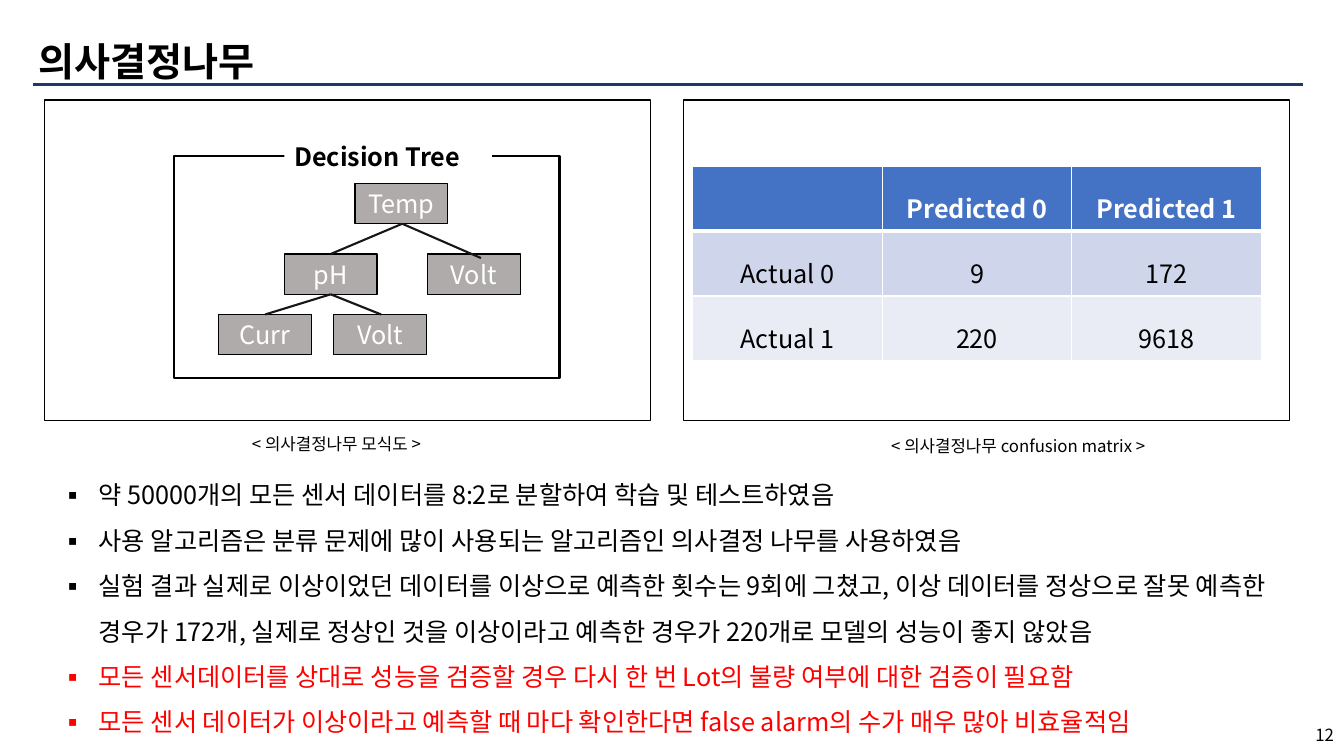
from lxml import etree
from pptx import Presentation
from pptx.dml.color import RGBColor
from pptx.enum import shapes, text
from pptx.oxml import ns
from pptx.util import Inches, Pt

FONT = "Noto Sans CJK KR"
BLACK = RGBColor(0x00, 0x00, 0x00)
WHITE = RGBColor(0xFF, 0xFF, 0xFF)
RED = RGBColor(0xFF, 0x00, 0x00)
NAVY = RGBColor(0x20, 0x38, 0x64)
GRAY = RGBColor(0xAF, 0xAB, 0xAB)
BRANCH = RGBColor(0x18, 0x17, 0x17)
HEADER_BLUE = RGBColor(0x44, 0x72, 0xC4)
ROW_DARK = RGBColor(0xCF, 0xD5, 0xEA)
ROW_LIGHT = RGBColor(0xE9, 0xEB, 0xF5)

LEFT, CENTER, RIGHT = text.PP_ALIGN.LEFT, text.PP_ALIGN.CENTER, text.PP_ALIGN.RIGHT
TOP, MIDDLE = text.MSO_ANCHOR.TOP, text.MSO_ANCHOR.MIDDLE

NODE_W, NODE_H = 0.92, 0.4
NODES = [("Temp", 3.52, 1.82), ("pH", 2.82, 2.52), ("Volt", 4.24, 2.52),
         ("Curr", 2.17, 3.12), ("Volt", 3.31, 3.12)]
BRANCHES = [((3.99, 2.22), (3.28, 2.52)), ((3.99, 2.22), (4.77, 2.56)),
            ((3.28, 2.92), (2.63, 3.12)), ((3.28, 2.92), (3.78, 3.12))]

MATRIX = [["", "Predicted 0", "Predicted 1"],
          ["Actual 0", "9", "172"],
          ["Actual 1", "220", "9618"]]
ROW_FILLS = [HEADER_BLUE, ROW_DARK, ROW_LIGHT]

FINDINGS = [
    ("약 50000개의 모든 센서 데이터를 8:2로 분할하여 학습 및 테스트하였음", BLACK),
    ("사용 알고리즘은 분류 문제에 많이 사용되는 알고리즘인 의사결정 나무를 사용하였음", BLACK),
    ("실험 결과 실제로 이상이었던 데이터를 이상으로 예측한 횟수는 9회에 그쳤고, "
     "이상 데이터를 정상으로 잘못 예측한 경우가 172개, 실제로 정상인 것을 이상이라고 "
     "예측한 경우가 220개로 모델의 성능이 좋지 않았음", BLACK),
    ("모든 센서데이터를 상대로 성능을 검증할 경우 다시 한 번 Lot의 불량 여부에 대한 "
     "검증이 필요함", RED),
    ("모든 센서 데이터가 이상이라고 예측할 때 마다 확인한다면 false alarm의 수가 매우 "
     "많아 비효율적임", RED),
]


def write(para, words, size=18, color=BLACK, bold=False, align=LEFT, spacing=1.0):
    para.alignment = align
    para.line_spacing = spacing
    para.space_before = Pt(0)
    span = para.add_run()
    span.text = words
    span.font.name = FONT
    span.font.size = Pt(size)
    span.font.bold = bold
    span.font.color.rgb = color
    east_asian = etree.SubElement(span.font._element, ns.qn("a:ea"))
    east_asian.set("typeface", FONT)


def prepare_frame(shape, anchor=TOP):
    frame = shape.text_frame
    frame.word_wrap = True
    frame.auto_size = text.MSO_AUTO_SIZE.NONE
    frame.vertical_anchor = anchor
    return frame


def place(shape, left, top, width, height):
    shape.left, shape.top = Inches(left), Inches(top)
    shape.width, shape.height = Inches(width), Inches(height)


def add_label(page, words, left, top, width, height, anchor=TOP, **style):
    box = page.shapes.add_textbox(Inches(left), Inches(top), Inches(width), Inches(height))
    write(prepare_frame(box, anchor).paragraphs[0], words, **style)


def add_box(parent, left, top, width, height, fill=None, line=1.0):
    box = parent.shapes.add_shape(shapes.MSO_SHAPE.RECTANGLE, Inches(left), Inches(top),
                                  Inches(width), Inches(height))
    box.shadow.inherit = False
    if fill is None:
        box.fill.background()
    else:
        box.fill.solid()
        box.fill.fore_color.rgb = fill
    if line:
        box.line.color.rgb = BLACK
        box.line.width = Pt(line)
    else:
        box.line.fill.background()
    return box


def add_line(parent, start, end, color, width):
    line = parent.shapes.add_connector(shapes.MSO_CONNECTOR.STRAIGHT,
                                       *map(Inches, start + end))
    line.line.color.rgb = color
    line.line.width = Pt(width)
    etree.SubElement(line._element.spPr, ns.qn("a:effectLst"))


def add_tree(page):
    tree = page.shapes.add_group_shape()
    add_box(tree, 1.73, 1.55, 3.82, 2.2, line=1.5)
    for name, left, top in NODES:
        node = add_box(tree, left, top, NODE_W, NODE_H, fill=GRAY)
        write(prepare_frame(node, MIDDLE).paragraphs[0], name, color=WHITE, align=CENTER)
    for start, end in BRANCHES:
        add_line(tree, start, end, BRANCH, 1.5)
    # The heading interrupts the frame's top edge
    heading = add_box(tree, 2.82, 1.35, 2.06, 0.4, fill=WHITE, line=0)
    write(prepare_frame(heading).paragraphs[0], "Decision Tree", bold=True)


def set_borders(cell, **widths):
    properties = cell._tc.get_or_add_tcPr()
    for index, (side, width) in enumerate(widths.items()):
        border = etree.Element(ns.qn(f"a:ln{side}"), w=str(Pt(width)))
        fill = etree.SubElement(border, ns.qn("a:solidFill"))
        etree.SubElement(fill, ns.qn("a:srgbClr"), val=str(WHITE))
        properties.insert(index, border)


def add_matrix(page):
    table = page.shapes.add_table(3, 3, Inches(6.87), Inches(1.65),
                                  Inches(5.64), Inches(1.91)).table
    for column in table.columns:
        column.width = Inches(1.88)
    for r, values in enumerate(MATRIX):
        table.rows[r].height = Inches(0.64)
        header = r == 0
        for c, value in enumerate(values):
            cell = table.cell(r, c)
            cell.fill.solid()
            cell.fill.fore_color.rgb = ROW_FILLS[r]
            set_borders(cell, L=1, R=1, T=3 if r == 1 else 1, B=3 if header else 1)
            if value:
                write(cell.text_frame.paragraphs[0], value, bold=header,
                      color=WHITE if header else BLACK, align=CENTER, spacing=1.5)


def set_bullet(para, symbol):
    properties = para._p.get_or_add_pPr()
    properties.set("marL", str(Inches(0.38)))
    properties.set("indent", str(-Inches(0.38)))
    etree.SubElement(properties, ns.qn("a:buFont"), typeface=FONT)
    etree.SubElement(properties, ns.qn("a:buChar"), char=symbol)


def fill_findings(body):
    place(body, 0.5, 4.56, 12.42, 2.79)
    frame = prepare_frame(body)
    for index, (words, color) in enumerate(FINDINGS):
        para = frame.add_paragraph() if index else frame.paragraphs[0]
        write(para, words, color=color, spacing=1.5)
        set_bullet(para, "▪")


def main():
    deck = Presentation()
    deck.slide_width, deck.slide_height = Inches(13.33), Inches(7.5)
    page = deck.slides.add_slide(deck.slide_layouts[1])

    # Title, rule and page number
    title = page.shapes.title
    place(title, 0.28, 0.32, 8.88, 0.57)
    write(prepare_frame(title).paragraphs[0], "의사결정나무", size=28, bold=True)
    add_line(page, (0.33, 0.84), (12.92, 0.84), NAVY, 2.25)
    add_label(page, "12", 10.33, 7.09, 3, 0.4, anchor=MIDDLE, size=12, align=RIGHT)

    # Two panels with captions
    for left in (0.44, 6.78):
        add_box(page, left, 0.99, 6.01, 3.18)
    add_tree(page)
    add_matrix(page)
    add_label(page, "< 의사결정나무 모식도 >", 2.4, 4.25, 3.89, 0.3, size=12)
    add_label(page, "< 의사결정나무 confusion matrix >", 8.74, 4.27, 3.89, 0.3, size=12)

    # Findings
    fill_findings(page.placeholders[1])
    deck.save("out.pptx")


if __name__ == "__main__":
    main()
